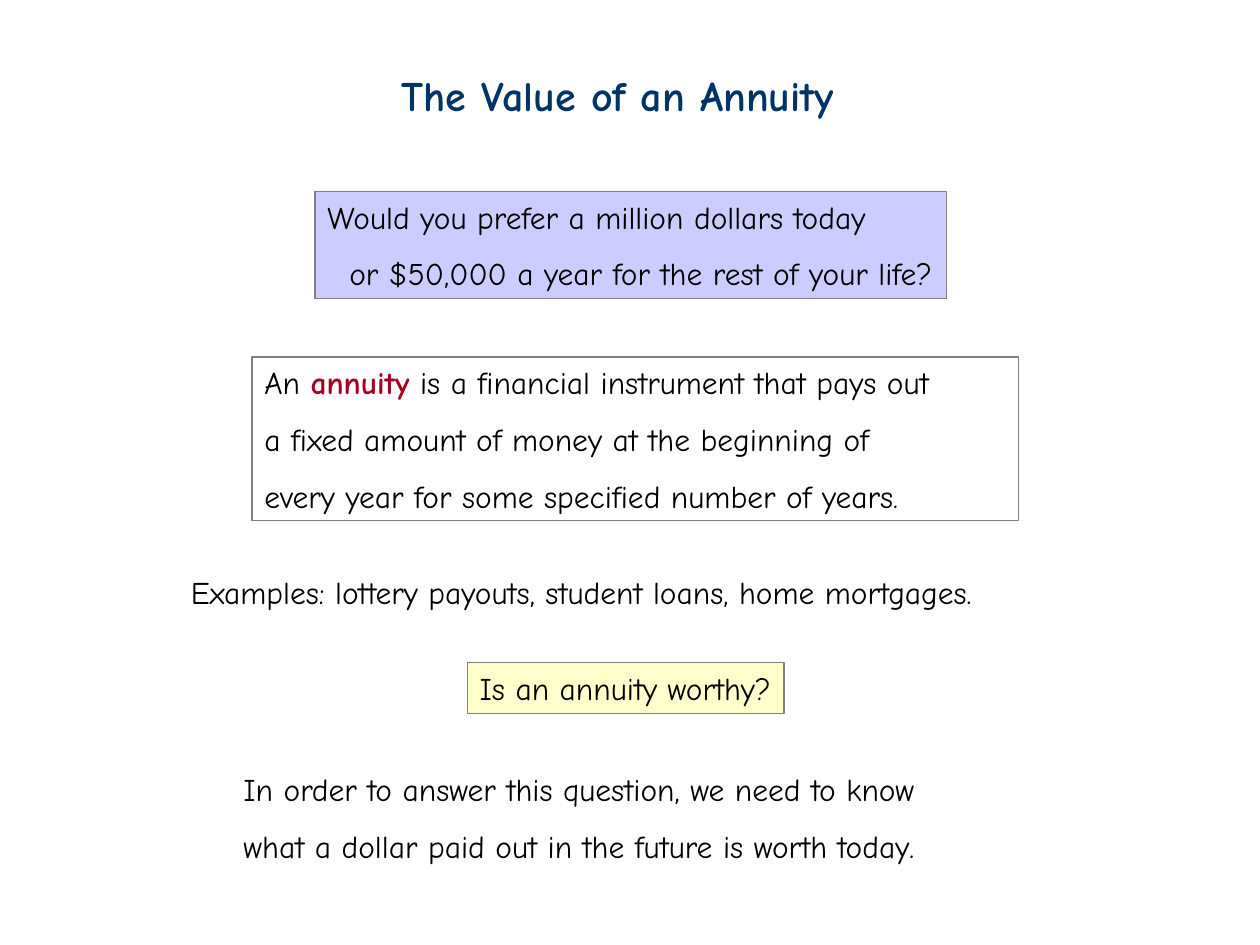
from dataclasses import dataclass

from pptx import Presentation
from pptx.dml.color import RGBColor
from pptx.enum import shapes, text
from pptx.util import Pt


@dataclass(frozen=True)
class Theme:
    font: str = "Comic Neue"
    title_size: int = 24
    body_size: int = 18
    line_spacing: float = 1.5
    title: str = "003366"
    body: str = "000000"
    term: str = "A50021"
    border: str = "808080"
    question: str = "CCCCFF"
    prompt: str = "FFFFCC"


THEME = Theme()


def set_font(font, size, color, bold=False):
    font.name = THEME.font
    font.size = Pt(size)
    font.bold = bold
    font.color.rgb = RGBColor.from_string(color)


def write_lines(shape, lines, wrap=True, size=THEME.body_size,
                color=THEME.body, bold=False, term=None):
    """Write one paragraph per line, with the word `term` picked out."""
    frame = shape.text_frame
    frame.word_wrap = wrap
    frame.vertical_anchor = text.MSO_ANCHOR.TOP
    for index, line in enumerate(lines):
        paragraph = frame.add_paragraph() if index else frame.paragraphs[0]
        paragraph.alignment = text.PP_ALIGN.LEFT
        if index:
            paragraph.line_spacing = THEME.line_spacing
        set_font(paragraph.font, size, color, bold)
        before, found, after = line.partition(term) if term else (line, "", "")
        for part in filter(None, (before, found, after)):
            run = paragraph.add_run()
            run.text = part
            if part == term:
                set_font(run.font, size, THEME.term, bold=True)
    return frame


def add_plain_text(slide, box, lines, **style):
    shape = slide.shapes.add_textbox(*map(Pt, box))
    return write_lines(shape, lines, **style)


def add_framed_text(slide, box, lines, fill=None, **style):
    shape = slide.shapes.add_shape(shapes.MSO_SHAPE.RECTANGLE, *map(Pt, box))
    shape.shadow.inherit = False
    if fill:
        shape.fill.solid()
        shape.fill.fore_color.rgb = RGBColor.from_string(fill)
    else:
        shape.fill.background()
    shape.line.color.rgb = RGBColor.from_string(THEME.border)
    shape.line.width = Pt(0.75)
    return write_lines(shape, lines, **style)


def add_title(slide, box):
    add_plain_text(slide, box, ["The Value of an Annuity"], wrap=False,
                   size=THEME.title_size, color=THEME.title, bold=True)


def add_opening_question(slide, box):
    frame = add_framed_text(slide, box, [
        "Would you prefer a million dollars today",
        "or $50,000 a year for the rest of your life?",
    ], fill=THEME.question, wrap=False)
    properties = frame.paragraphs[1]._p.get_or_add_pPr()
    properties.set("marL", str(Pt(12.5)))
    properties.set("indent", "0")


def add_definition(slide, box):
    add_framed_text(slide, box, [
        "An annuity is a financial instrument that pays out",
        "a fixed amount of money at the beginning of",
        "every year for some specified number of years.",
    ], term="annuity")


def add_examples(slide, box):
    add_plain_text(slide, box, [
        "Examples: lottery payouts, student loans, home mortgages.",
    ])


def add_worth_question(slide, box):
    add_framed_text(slide, box, ["Is an annuity worthy?"],
                    fill=THEME.prompt, wrap=False)


def add_conclusion(slide, box):
    add_plain_text(slide, box, [
        "In order to answer this question, we need to know",
        "what a dollar paid out in the future is worth today.",
    ])


def main():
    presentation = Presentation()
    presentation.slide_width = Pt(720)
    presentation.slide_height = Pt(540)
    slide = presentation.slides.add_slide(presentation.slide_layouts[6])
    add_title(slide, (222.5, 36, 262, 36))
    add_opening_question(slide, (180, 109.5, 361, 61))
    add_definition(slide, (144, 204, 438, 93.5))
    add_examples(slide, (102, 324, 516, 29))
    add_worth_question(slide, (267, 378.75, 181, 29))
    add_conclusion(slide, (132, 436.5, 456, 61))
    presentation.save("out.pptx")


if __name__ == "__main__":
    main()
